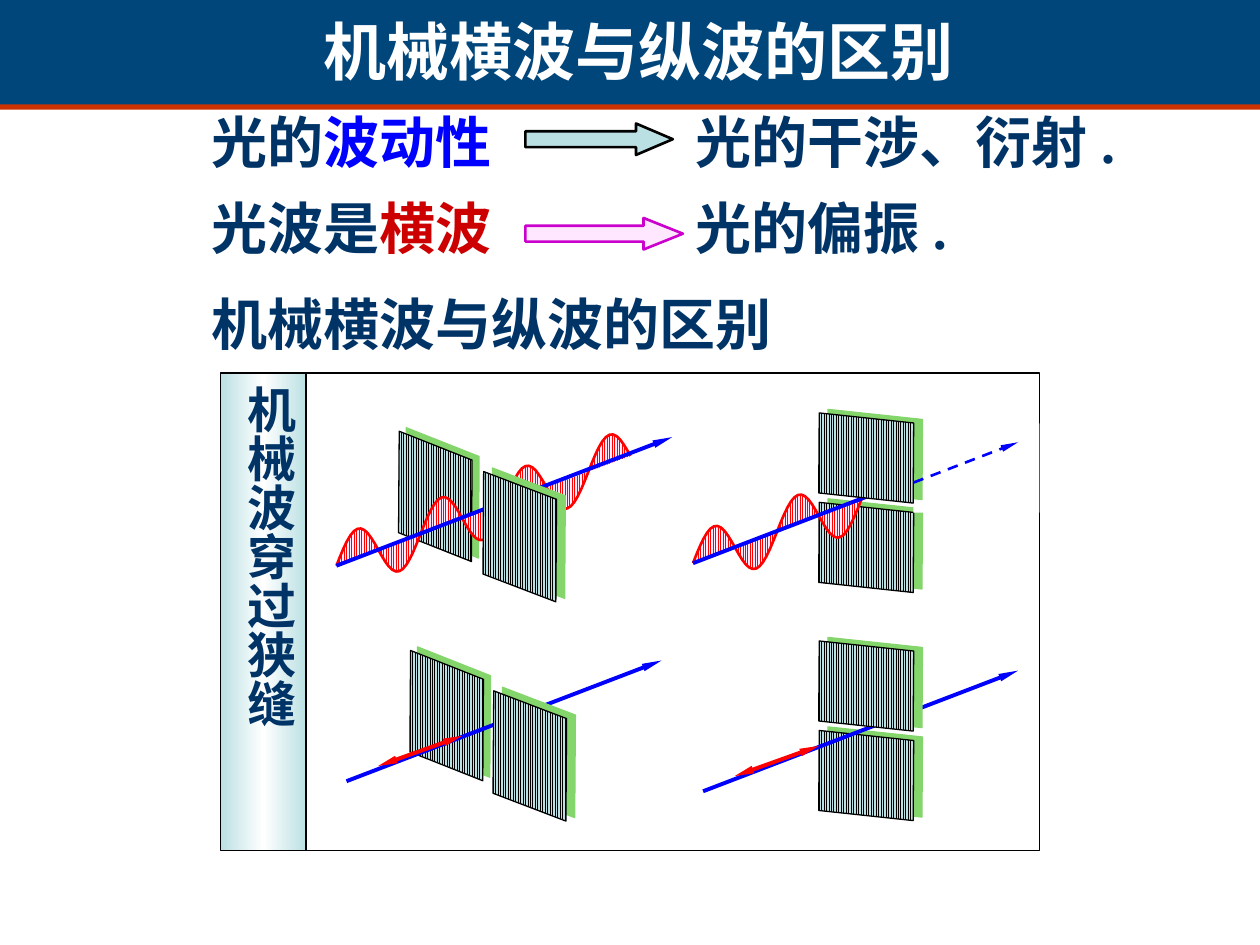
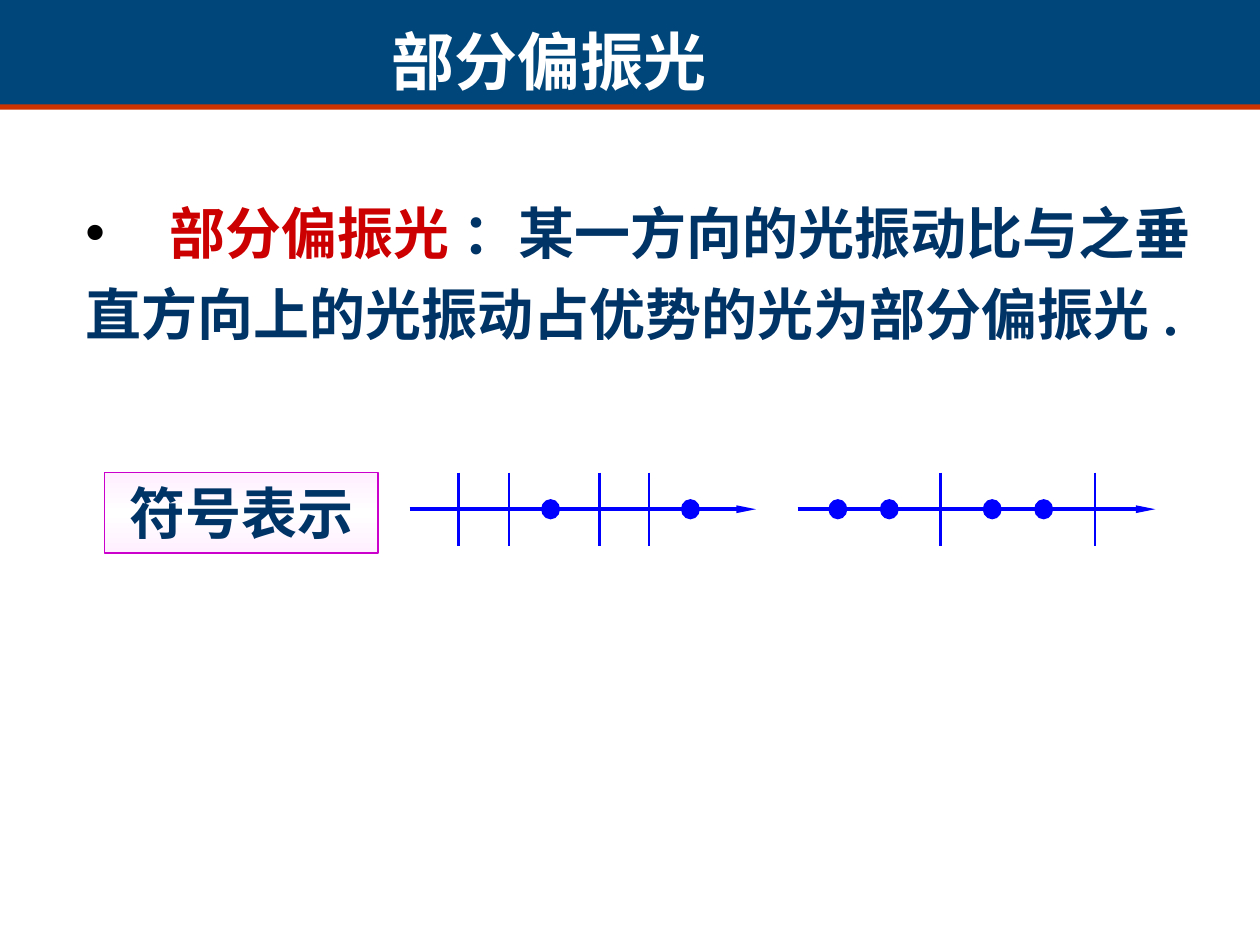
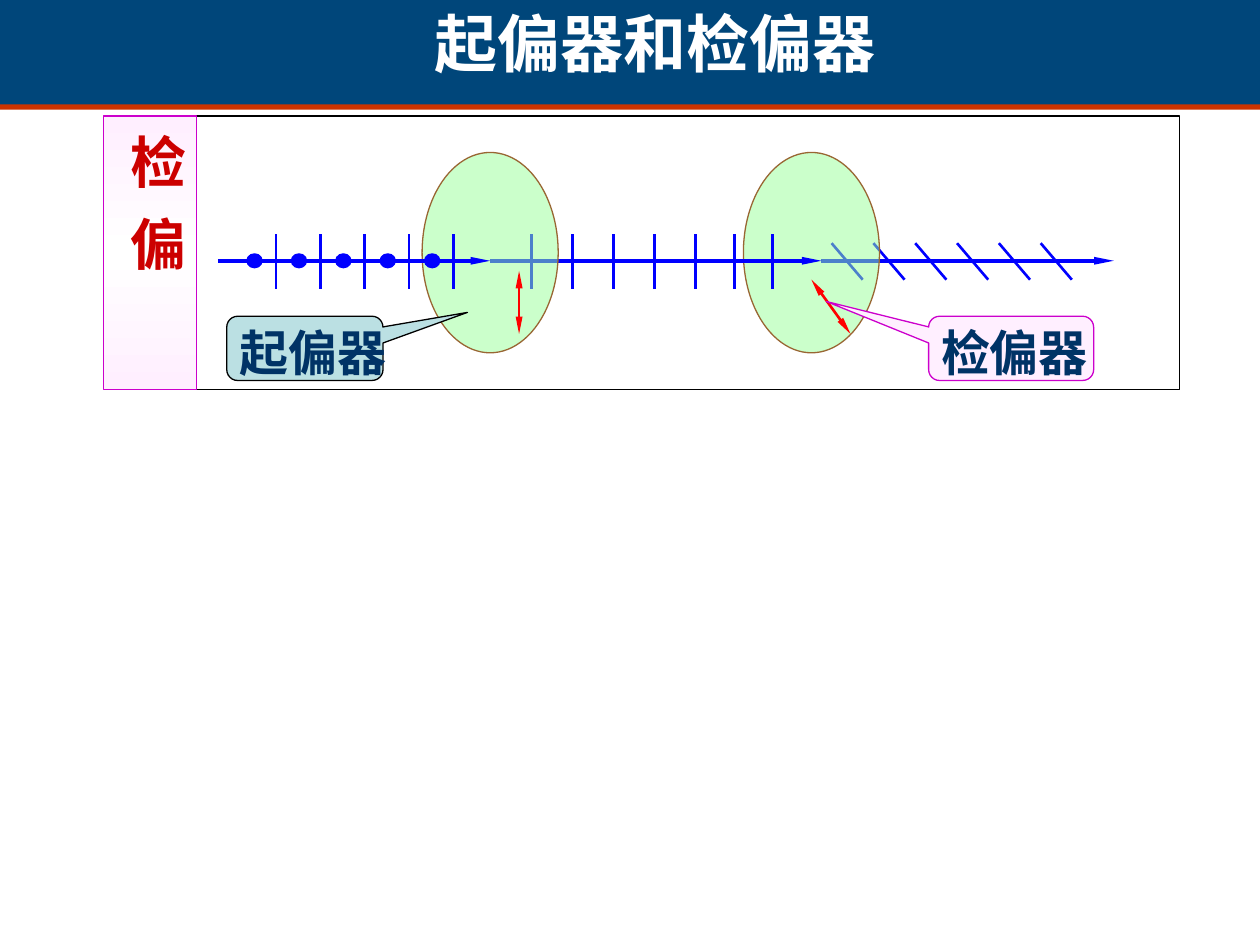
from dataclasses import dataclass
from math import pi, sin

from lxml import etree
from pptx import Presentation
from pptx.dml.color import RGBColor
from pptx.enum.dml import MSO_LINE, MSO_PATTERN
from pptx.enum.shapes import MSO_CONNECTOR, MSO_SHAPE
from pptx.enum.text import MSO_ANCHOR, MSO_AUTO_SIZE, PP_ALIGN
from pptx.oxml.ns import qn
from pptx.util import Pt

RECTANGLE = MSO_SHAPE.RECTANGLE
ELLIPSE = MSO_SHAPE.OVAL
ARROW = MSO_SHAPE.RIGHT_ARROW
CALLOUT = MSO_SHAPE.ROUNDED_RECTANGULAR_CALLOUT
PARALLELOGRAM = MSO_SHAPE.PARALLELOGRAM
STRAIGHT = MSO_CONNECTOR.STRAIGHT
STRIPES = MSO_PATTERN.LIGHT_VERTICAL
DASH = MSO_LINE.DASH
TOP = MSO_ANCHOR.TOP
CENTER = PP_ALIGN.CENTER
GROW = MSO_AUTO_SIZE.SHAPE_TO_FIT_TEXT


@dataclass(frozen=True)
class Theme:
    font: str = "Times New Roman"
    title_font: str = "Arial"
    title: int = 36
    body: int = 32
    label: int = 28
    thin: float = 0.75
    medium: float = 1.5
    thick: float = 2.25
    white: str = "FFFFFF"
    black: str = "000000"
    band: str = "00467A"
    rule: str = "CC3300"
    navy: str = "003366"
    blue: str = "0000FF"
    crimson: str = "CC0000"
    red: str = "FF0000"
    teal: str = "BBE0E3"
    pink: str = "FFEFFF"
    arrow_pink: str = "FFE7FF"
    wave_pink: str = "FFEBFF"
    magenta: str = "CC00CC"
    lens: str = "99FF99"
    lens_edge: str = "996633"
    panel_shadow: str = "84D56B"


@dataclass(frozen=True)
class Panel:
    width: float
    height: float
    skew: float
    shadow_distance: float
    shadow_angle: int


THEME = Theme()
REAR = Panel(74.16, 41.76, 0.388, 4.5, 333)
FRONT = Panel(74.16, 41.76, 0.374, 5.4, 338)
FLAT = Panel(51.12, 54, 0.105, 5.4, 338)
FLAT_LEFT = 469.44
BEAM_SLOPE = -0.383


def color(value):
    return RGBColor.from_string(value)


def apply_format(target, values):
    for name, value in values.items():
        setattr(target, name, value)


def add_node(parent, tag, **attributes):
    node = etree.SubElement(parent, qn(tag))
    for name, value in attributes.items():
        node.set(name, str(value))
    return node


def outline(shape, line, weight):
    if line:
        shape.line.color.rgb = color(line)
        shape.line.width = Pt(weight)
    else:
        shape.line.fill.background()


def add_box(page, kind, box, fill, line=None, weight=THEME.thin, adjust=()):
    shape = page.shapes.add_shape(kind, *map(Pt, box))
    shape.shadow.inherit = False
    shape.fill.solid()
    shape.fill.fore_color.rgb = color(fill)
    outline(shape, line, weight)
    for index, value in enumerate(adjust):
        shape.adjustments[index] = value
    return shape


def stripe(shape, fore, back):
    shape.fill.patterned()
    shape.fill.pattern = STRIPES
    shape.fill.fore_color.rgb = color(fore)
    shape.fill.back_color.rgb = color(back)


def blend(shape, edge, angle):
    shape.fill.gradient()
    shape.fill.gradient_angle = angle
    stops = shape._element.spPr.find(".//" + qn("a:gsLst"))
    stops.clear()
    for place, value in ((0, edge), (50, THEME.white), (100, edge)):
        stop = add_node(stops, "a:gs", pos=place * 1000)
        add_node(stop, "a:srgbClr", val=value)


def add_line(page, start, end, tint, weight, head=False, tail=False, dash=None):
    line = page.shapes.add_connector(STRAIGHT, *map(Pt, (*start, *end)))
    outline(line, tint, weight)
    if dash:
        line.line.dash_style = dash
    properties = line._element.spPr
    stroke = properties.find(qn("a:ln"))
    for wanted, tag in ((head, "a:headEnd"), (tail, "a:tailEnd")):
        if wanted:
            add_node(stroke, tag, type="triangle", w="sm", len="lg")
    add_node(properties, "a:effectLst")


def write(shape, paras, size, font=THEME.font, spacing=None, align=None,
          tab=None, bullet=None, frame_format=None):
    frame = shape.text_frame
    values = {"word_wrap": True, "auto_size": GROW, "vertical_anchor": TOP}
    apply_format(frame, values | (frame_format or {}))
    for index, spans in enumerate(paras):
        para = frame.paragraphs[0] if index == 0 else frame.add_paragraph()
        apply_format(para, {"alignment": align, "line_spacing": spacing,
                            "space_before": Pt(0)})
        properties = para._p.get_or_add_pPr()
        before = properties.find(qn("a:spcBef"))
        before.clear()
        add_node(before, "a:spcPct", val=50000)
        if bullet:
            apply_format_bullet(properties, bullet)
        if tab:
            tabs = add_node(properties, "a:tabLst")
            add_node(tabs, "a:tab", pos=Pt(tab), algn="l")
        for text, tint in spans:
            span = para.add_run()
            span.text = text
            apply_format(span.font, {"name": font, "size": Pt(size), "bold": True})
            span.font.color.rgb = color(tint)


def apply_format_bullet(properties, bullet):
    properties.set("marL", "0")
    properties.set("indent", "0")
    tint = add_node(properties, "a:buClr")
    add_node(tint, "a:srgbClr", val=THEME.black)
    add_node(properties, "a:buFont", typeface=THEME.title_font)
    add_node(properties, "a:buChar", char=bullet)


def add_text(page, box, paras, size, **options):
    shape = page.shapes.add_textbox(*map(Pt, box))
    write(shape, paras, size, **options)


def add_sidebar(page, box, edge, line, angle, spans, size, **options):
    sidebar = add_box(page, RECTANGLE, box, edge, line)
    blend(sidebar, edge, angle)
    sidebar.text_frame._txBody.bodyPr.set("vert", "eaVert")
    write(sidebar, [spans], size, align=PP_ALIGN.LEFT, **options)


def add_page(deck):
    page = deck.slides.add_slide(deck.slide_layouts[6])
    add_box(page, RECTANGLE, (0, 56.88, 720, 5.76), THEME.rule)
    add_box(page, RECTANGLE, (0, 0, 720, 59.76), THEME.band)
    return page


def add_title(page, box, text, **options):
    add_text(page, box, [[(text, THEME.white)]], THEME.title, **options)


def add_panel(page, panel, left, top):
    shape = add_box(page, PARALLELOGRAM, (left, top, panel.width, panel.height),
                    THEME.teal, THEME.black, adjust=[panel.skew])
    stripe(shape, THEME.black, THEME.teal)
    shape.rotation = 90.4
    effects = shape._element.spPr.find(qn("a:effectLst"))
    shadow = add_node(effects, "a:outerShdw", blurRad=0,
                      dist=Pt(panel.shadow_distance),
                      dir=panel.shadow_angle * 60000, algn="ctr", rotWithShape=0)
    add_node(shadow, "a:srgbClr", val=THEME.panel_shadow)


def add_wave(page, left, top, length=168, height=16.56, steps=84):
    points = []
    for step in range(steps + 1):
        part = step / steps
        rise = BEAM_SLOPE * 0.975 * length * part - height * sin(7 * pi * part)
        points.append((Pt(left + length * part), Pt(top + rise)))
    builder = page.shapes.build_freeform(*points[0])
    builder.add_line_segments(points[1:], close=False)
    wave = builder.convert_to_shape()
    wave.shadow.inherit = False
    stripe(wave, THEME.red, THEME.wave_pink)
    outline(wave, THEME.red, THEME.medium)


def add_beam(page, left, top, reach):
    start, middle, tip = [(left + run, top + BEAM_SLOPE * run)
                          for run in (0, 90, reach)]
    add_line(page, middle, tip, THEME.blue, THEME.thick, tail=True)
    add_line(page, start, middle, THEME.blue, THEME.thick)


def add_transverse(page, left, top):
    add_wave(page, left, top)
    add_beam(page, left, top, 191.88)


def add_longitudinal(page, left, top):
    add_beam(page, left, top, 180)
    add_line(page, (left + 18, top - 8.64), (left + 66.24, top - 25.92),
             THEME.red, THEME.thick, head=True, tail=True)


def add_ray(page, start, end, height):
    add_line(page, (start, height), (end, height), THEME.blue, THEME.thick, tail=True)


def add_ticks(page, places, top, bottom, lean=0):
    for place in places:
        add_line(page, (place, top), (place + lean, bottom), THEME.blue, THEME.medium)


def add_dots(page, centers, height, size):
    width, tall = size
    for center in centers:
        box = (center - width / 2, height - tall / 2, width, tall)
        add_box(page, ELLIPSE, box, THEME.blue, THEME.blue)


def add_lens(page, left, axis_start, axis_end):
    lens = add_box(page, ELLIPSE, (left, 87.12, 77.76, 114.48),
                   THEME.lens, THEME.lens_edge)
    tint = lens._element.spPr.find(qn("a:solidFill")).find(qn("a:srgbClr"))
    add_node(tint, "a:alpha", val=50000)
    add_line(page, axis_start, axis_end, THEME.red, THEME.medium, head=True, tail=True)


def add_callout(page, left, width, text, fill, line, adjust):
    add_box(page, CALLOUT, (left, 180.72, width, 36.72), fill, line, adjust=adjust)
    add_text(page, (left, 180.72, 128.16, 41.04), [[(text, THEME.navy)]], THEME.label)


def build_wave_types(deck):
    page = add_page(deck)
    add_text(page, (113.76, 64.08, 576, 91.44), [
        [("光的", THEME.navy), ("波动性\t", THEME.blue), ("光的干涉、衍射 .", THEME.navy)],
        [("光波是", THEME.navy), ("横波\t", THEME.crimson), ("光的偏振 .", THEME.navy)],
    ], THEME.body, spacing=0.85, tab=276.8)
    add_box(page, ARROW, (300.24, 70.56, 84.24, 18), THEME.teal, THEME.black,
            THEME.medium, (0.5, 1.17))
    add_box(page, ARROW, (300.24, 124.56, 90, 18), THEME.arrow_pink, THEME.magenta,
            THEME.medium, (0.5, 1.25))
    heading = "机械横波与纵波的区别"
    add_text(page, (113.76, 162, 419.76, 45.36), [[(heading, THEME.navy)]], THEME.body)
    add_box(page, RECTANGLE, (126.72, 213.12, 467.28, 272.88), THEME.white, THEME.black)

    add_panel(page, REAR, 218.16, 388.08)
    add_panel(page, FLAT, FLAT_LEFT, 285.84)
    add_panel(page, REAR, 211.68, 262.8)
    add_transverse(page, 192.24, 323.28)
    add_panel(page, FRONT, 259.92, 285.84)

    add_transverse(page, 396, 321.84)
    add_box(page, RECTANGLE, (522, 241.92, 72, 51.12), THEME.white)
    add_panel(page, FLAT, FLAT_LEFT, 234.72)
    add_line(page, (522, 275.76), (581.76, 252.72), THEME.blue, THEME.medium,
             tail=True, dash=DASH)

    add_longitudinal(page, 198, 446.4)
    add_panel(page, FRONT, 265.68, 411.12)

    add_panel(page, FLAT, FLAT_LEFT, 416.16)
    add_longitudinal(page, 401.76, 452.16)
    add_panel(page, FLAT, FLAT_LEFT, 365.04)

    add_sidebar(page, (126, 213.12, 48.96, 272.88), THEME.teal, THEME.black, 0,
                [("机械波穿过狭缝", THEME.navy)], THEME.label,
                frame_format={"auto_size": MSO_AUTO_SIZE.NONE})
    add_title(page, (177.84, 3.6, 419.76, 50.4), heading)


def build_partial_polarization(deck):
    page = add_page(deck)
    add_text(page, (41.76, 102.24, 653.76, 145.44), [[
        ("\t", THEME.black),
        ("部分偏振光 ", THEME.crimson),
        ("：某一方向的光振动比与之垂直方向上的光振动占优势的光为部分偏振光 .", THEME.navy),
    ]], THEME.body, spacing=1.2, tab=48, bullet="•")

    label = add_box(page, RECTANGLE, (59.76, 270, 156.24, 46.08),
                    THEME.pink, THEME.magenta)
    blend(label, THEME.pink, 90)
    write(label, [[("符号表示", THEME.navy)]], THEME.body, align=CENTER)

    axis, dot = 291, (10.08, 10.8)
    slots = [478.8 + 29.4 * slot for slot in range(6)]
    rays = (
        (234, 432, (262.08, 290.88, 342.72, 370.8), (314.64, 394.56)),
        (455.76, 660.24, slots[2::3], slots[0:2] + slots[3:5]),
    )
    for start, end, ticks, dots in rays:
        add_ray(page, start, end, axis)
        add_ticks(page, ticks, 270, 311.76)
        add_dots(page, dots, axis, dot)
    add_title(page, (171.36, 9.36, 336.24, 50.4), "部分偏振光",
              frame_format={"margin_left": Pt(52.2)})


def build_polarizer_analyzer(deck):
    page = add_page(deck)
    axis, tick_top, tick_bottom = 149.04, 133.92, 164.88
    add_box(page, RECTANGLE, (61.2, 66.24, 612.72, 156.24), THEME.white, THEME.black)

    add_ray(page, 469.44, 636.48, axis)
    add_ticks(page, [475.2 + 23.9 * slot for slot in range(6)], 138.96, 159.84, 17.8)
    add_lens(page, 424.8, (486, 190.8), (463.68, 159.84))
    add_callout(page, 530.64, 94.32, "检偏器", THEME.pink, THEME.magenta,
                (-1.12, -0.73, 0.17))
    add_sidebar(page, (59.04, 66.24, 53.28, 156.24), THEME.pink, THEME.magenta, 90,
                [("检\t偏", THEME.crimson)], THEME.body, tab=46.9,
                frame_format={"auto_size": MSO_AUTO_SIZE.NONE, "margin_top": Pt(10.6)})

    add_ray(page, 280.08, 469.44, axis)
    polarized = [303.84 + 23.4 * slot for slot in range(5)] + [419.76, 441.36]
    add_ticks(page, polarized, tick_top, tick_bottom)
    add_lens(page, 241.2, (296.64, 190.8), (296.64, 154.8))

    add_ray(page, 124.56, 280.08, axis)
    natural = [157.68 + 25.38 * slot for slot in range(5)]
    add_ticks(page, natural, tick_top, tick_bottom)
    add_dots(page, [place - 12.24 for place in natural], axis, (8.64, 7.92))
    add_callout(page, 129.6, 89.28, "起偏器", THEME.teal, THEME.black,
                (1.04, -0.56, 0.17))
    add_title(page, (241.2, -0.72, 267.12, 50.4), "起偏器和检偏器",
              font=THEME.title_font, frame_format={"word_wrap": False})


def main():
    deck = Presentation()
    apply_format(deck, {"slide_width": Pt(720), "slide_height": Pt(540)})
    build_wave_types(deck)
    build_partial_polarization(deck)
    build_polarizer_analyzer(deck)
    deck.save("out.pptx")


if __name__ == "__main__":
    main()
